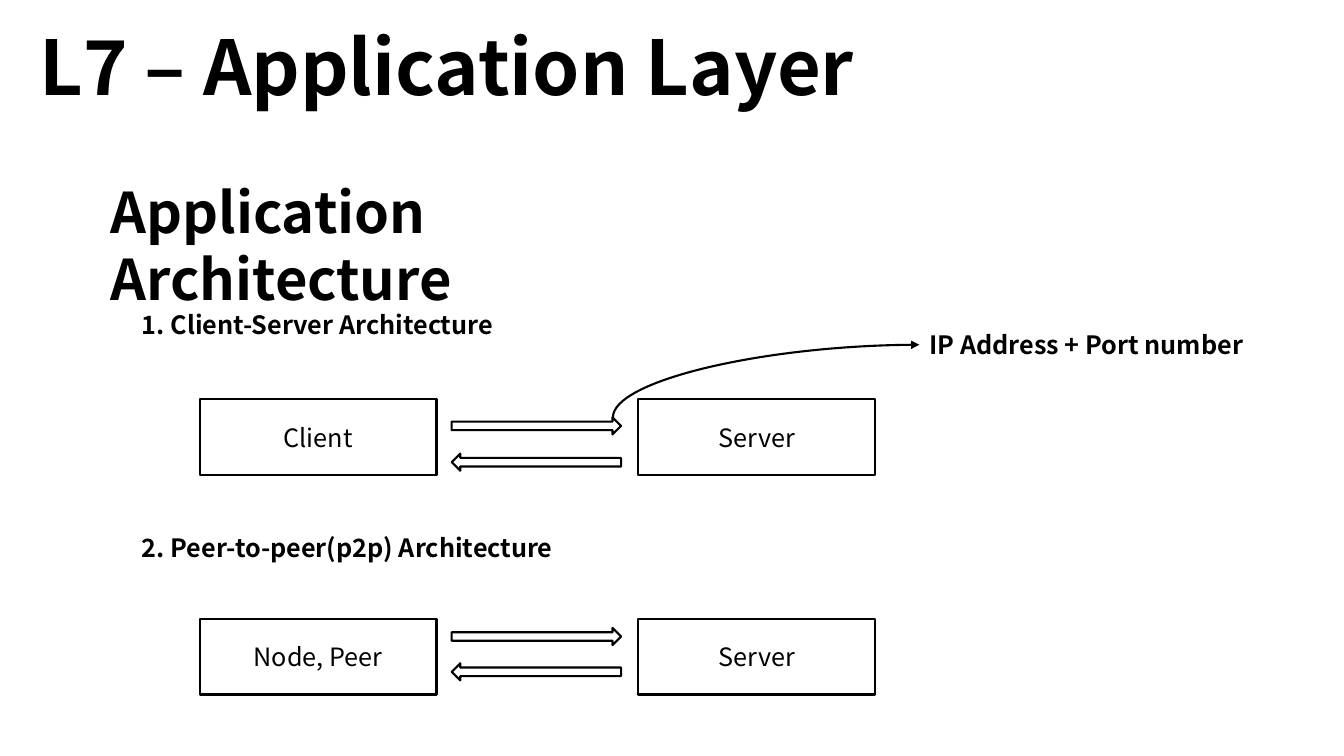
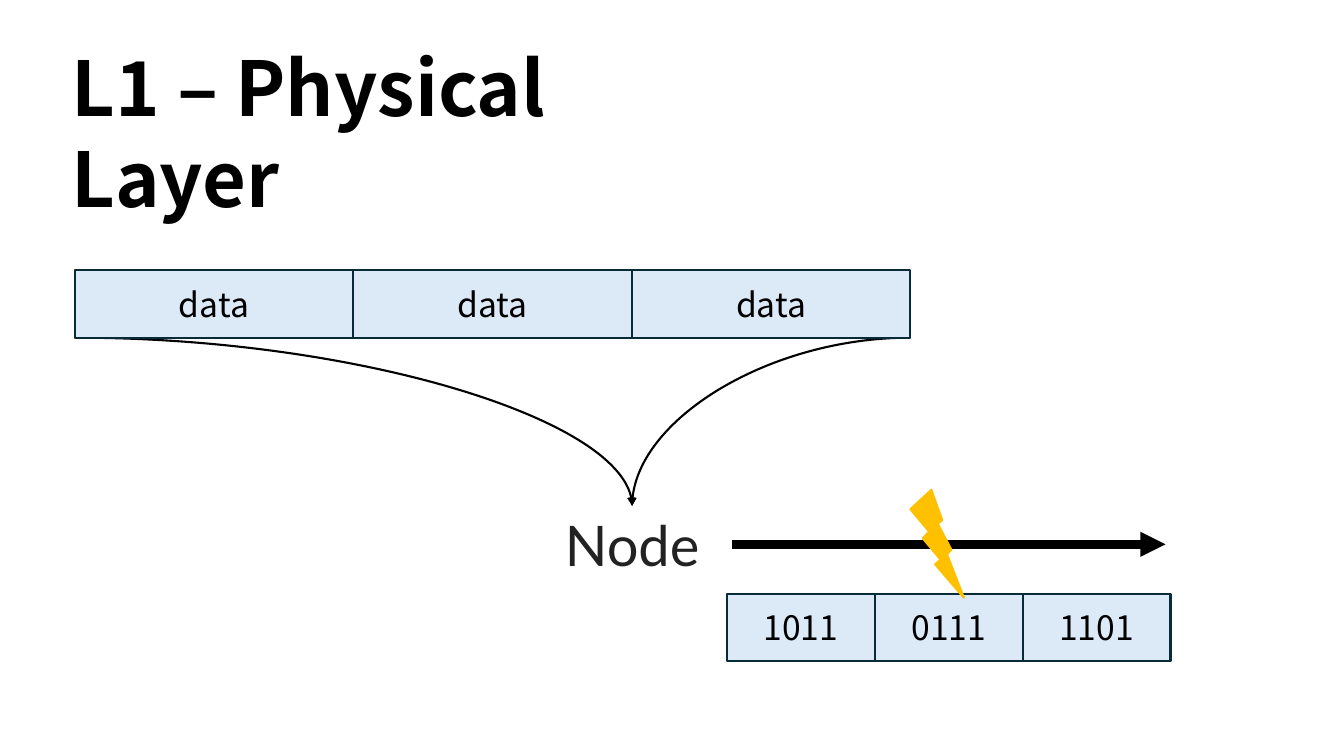
from dataclasses import dataclass

from lxml import etree
from pptx import Presentation
from pptx.dml.color import RGBColor
from pptx.enum.shapes import MSO_CONNECTOR, MSO_SHAPE
from pptx.enum.text import MSO_ANCHOR, MSO_AUTO_SIZE, PP_ALIGN
from pptx.oxml.ns import qn
from pptx.util import Emu, Pt

RECTANGLE = MSO_SHAPE.RECTANGLE
RIGHT_ARROW = MSO_SHAPE.RIGHT_ARROW
LIGHTNING = MSO_SHAPE.LIGHTNING_BOLT
STRAIGHT = MSO_CONNECTOR.STRAIGHT
CURVE = MSO_CONNECTOR.CURVE
TOP = MSO_ANCHOR.TOP
MIDDLE = MSO_ANCHOR.MIDDLE
GROW = MSO_AUTO_SIZE.SHAPE_TO_FIT_TEXT
LEFT = PP_ALIGN.LEFT
CENTER = PP_ALIGN.CENTER

EMU_PER_PX = 9144
TITLE_ONLY = 5
SITE_TOP = 0
SITE_LEFT = 1


@dataclass(frozen=True)
class Theme:
    font: str = "Noto Sans CJK KR"
    node_font: str = "Lato"
    ink: str = "000000"
    node_ink: str = "222222"
    paper: str = "FFFFFF"
    cell_fill: str = "DCEAF7"
    cell_line: str = "092A39"
    bolt: str = "FFC000"
    title_size: int = 54
    heading_size: int = 40
    cell_size: int = 24
    label_size: int = 18
    line_width: float = 1.5
    signal_width: float = 6


THEME = Theme()


def px(length):
    return Emu(round(length * EMU_PER_PX))


def frame(*lengths):
    return [px(length) for length in lengths]


def write(text_frame, text, size, bold=False, align=LEFT, font=THEME.font, color=THEME.ink):
    para = text_frame.paragraphs[0]
    para.alignment = align
    span = para.add_run()
    span.text = text
    span.font.name = font
    span.font.size = Pt(size)
    span.font.bold = bold
    span.font.color.rgb = RGBColor.from_string(color)


def add_page(deck, title, left, top, width):
    page = deck.slides.add_slide(deck.slide_layouts[TITLE_ONLY])
    box = page.shapes.title
    box.left, box.top, box.width, box.height = frame(left, top, width, 101)
    text_frame = box.text_frame
    text_frame.vertical_anchor = TOP
    text_frame.auto_size = GROW
    text_frame.word_wrap = True
    write(text_frame, title, THEME.title_size, bold=True)
    return page


def add_text(page, text, place, size, wrap=False, **style):
    box = page.shapes.add_textbox(*frame(*place))
    box.text_frame.word_wrap = wrap
    box.text_frame.auto_size = GROW
    write(box.text_frame, text, size, **style)
    return box


def add_label(page, text, place):
    return add_text(page, text, place, THEME.label_size, bold=True)


def add_figure(shapes, kind, place, fill=THEME.paper, line=THEME.ink):
    figure = shapes.add_shape(kind, *frame(*place))
    figure.shadow.inherit = False
    figure.fill.solid()
    figure.fill.fore_color.rgb = RGBColor.from_string(fill)
    figure.line.color.rgb = RGBColor.from_string(line)
    figure.line.width = Pt(THEME.line_width)
    return figure


def add_box(shapes, text, place, size, **colors):
    box = add_figure(shapes, RECTANGLE, place, **colors)
    box.text_frame.vertical_anchor = MIDDLE
    write(box.text_frame, text, size, align=CENTER)


def add_cells(page, texts, left, top, total):
    group = page.shapes.add_group_shape()
    width = total / len(texts)
    for column, text in enumerate(texts):
        add_box(group.shapes, text, (left + column * width, top, width, 67),
                THEME.cell_size, fill=THEME.cell_fill, line=THEME.cell_line)


def add_line(page, kind, start, end, arrow_at="tailEnd", width=THEME.line_width):
    line = page.shapes.add_connector(kind, *frame(*start, *end))
    line.line.color.rgb = RGBColor.from_string(THEME.ink)
    line.line.width = Pt(width)
    properties = line._element.spPr
    outline = properties.find(qn("a:ln"))
    etree.SubElement(outline, qn("a:" + arrow_at), type="triangle")
    etree.SubElement(properties, qn("a:effectLst"))
    if kind == CURVE:
        properties.find(qn("a:prstGeom")).set("prst", "curvedConnector2")
    return line


def add_exchange(page, names, top, arrow_tops):
    for left, name in zip((198, 633), names):
        add_box(page.shapes, name, (left, top, 235, 75), THEME.label_size)
    for arrow_top, turn in zip(arrow_tops, (0, 180)):
        arrow = add_figure(page.shapes, RIGHT_ARROW, (448, arrow_top, 168, 17))
        arrow.rotation = turn


def build_application_layer(deck):
    page = add_page(deck, "L7 – Application Layer", 29, 15, 838)
    add_text(page, "Application Architecture", (100, 171, 670, 77),
             THEME.heading_size, wrap=True, bold=True)
    add_label(page, "1. Client-Server Architecture", (131, 302, 369, 40))
    add_label(page, "2. Peer-to-peer(p2p) Architecture", (131, 523, 430, 40))
    add_exchange(page, ("Client", "Server"), 396, (414, 450))
    address = add_label(page, "IP Address + Port number", (912, 322, 339, 40))
    pointer = add_line(page, CURVE, (912, 342), (608, 414), arrow_at="headEnd")
    pointer.begin_connect(address, SITE_LEFT)
    add_exchange(page, ("Node, Peer", "Server"), 614, (623, 658))


def build_physical_layer(deck):
    page = add_page(deck, "L1 – Physical Layer", 61, 36, 702)
    add_line(page, STRAIGHT, (726, 540), (1156, 540), width=THEME.signal_width)
    add_cells(page, ("1011", "0111", "1101"), 721, 589, 440)
    node = add_text(page, "Node", (528, 502, 198, 77), THEME.heading_size, wrap=True,
                    align=CENTER, font=THEME.node_font, color=THEME.node_ink)
    for corner in (74, 903):
        curve = add_line(page, CURVE, (corner, 335), (627, 502))
        curve.end_connect(node, SITE_TOP)
    add_figure(page.shapes, LIGHTNING, (903, 486, 53, 107), THEME.bolt, THEME.bolt)
    add_cells(page, ("data",) * 3, 74, 268, 829)


def main():
    deck = Presentation()
    deck.slide_width, deck.slide_height = frame(1333, 750)
    build_application_layer(deck)
    build_physical_layer(deck)
    deck.save("out.pptx")


if __name__ == "__main__":
    main()
